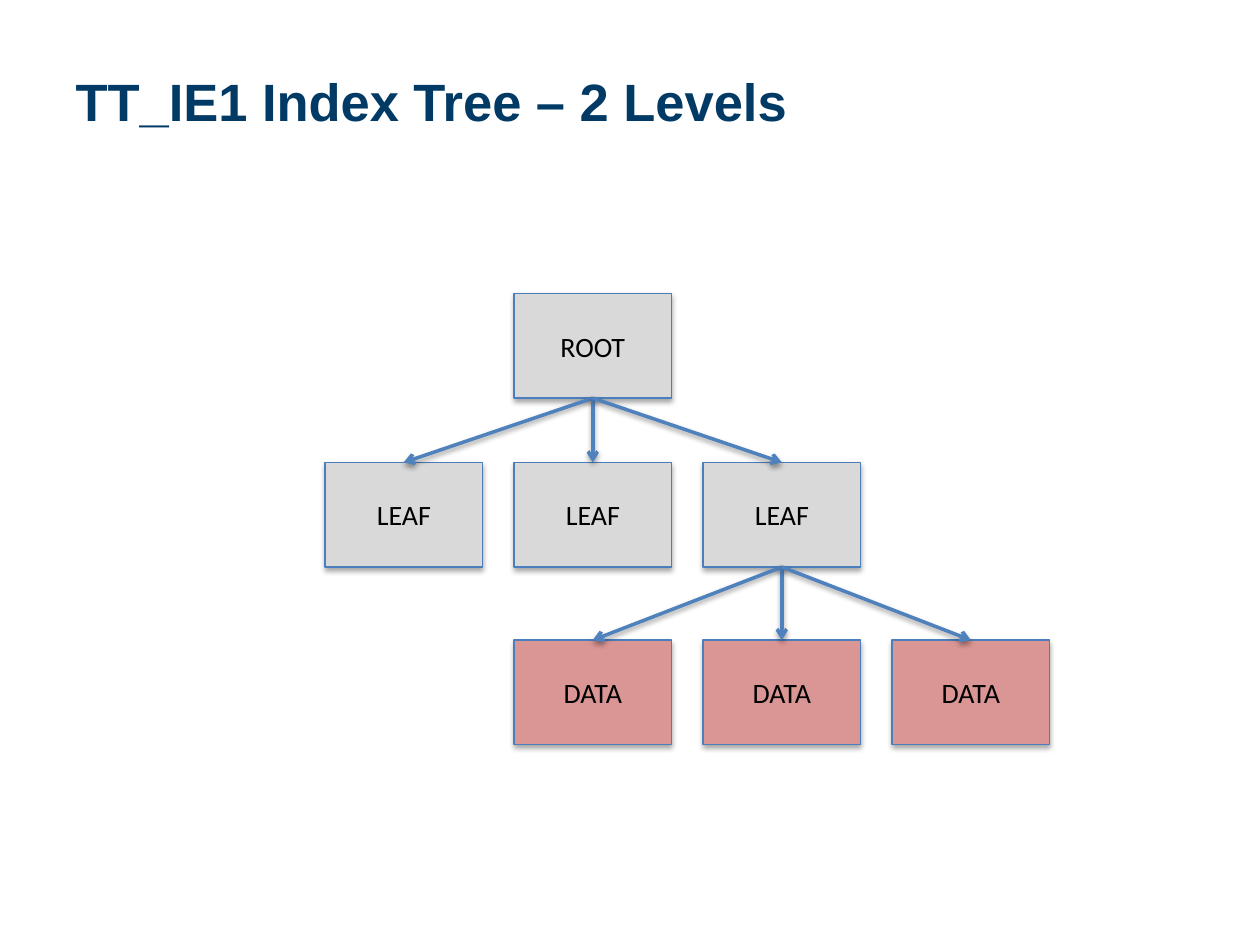
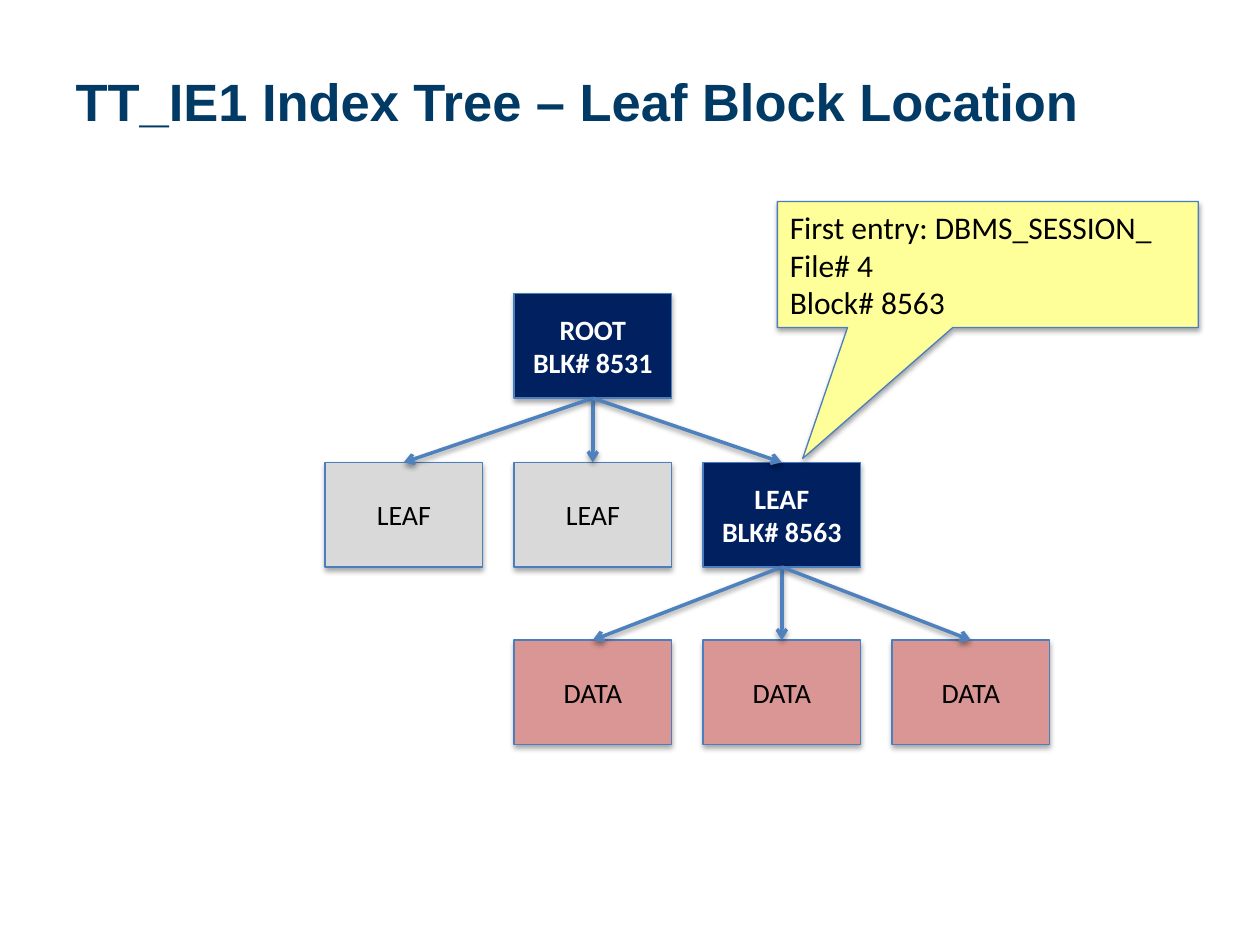
from lxml.etree import SubElement
from pptx import Presentation
from pptx.dml.color import RGBColor
from pptx.enum.shapes import MSO_CONNECTOR as Link, MSO_SHAPE as Preset
from pptx.enum.text import MSO_ANCHOR as Anchor, PP_ALIGN as Align
from pptx.oxml.ns import qn
from pptx.util import Inches, Pt

WHITE = RGBColor(0xFF, 0xFF, 0xFF)
BLACK = RGBColor(0, 0, 0)
TITLE_BLUE = RGBColor(0x00, 0x3A, 0x65)
BORDER_BLUE = RGBColor(0x4B, 0x7E, 0xBC)
ARROW_BLUE = RGBColor(0x4F, 0x81, 0xBD)
NAVY = RGBColor(0x00, 0x20, 0x60)
GREY = RGBColor(0xD9, 0xD9, 0xD9)
ROSE = RGBColor(0xD9, 0x96, 0x94)
YELLOW = RGBColor(0xFF, 0xFF, 0x99)

NODES = {
    "root": (0, 1, "ROOT", GREY),
    "leaf 1": (1, 0, "LEAF", GREY),
    "leaf 2": (1, 1, "LEAF", GREY),
    "leaf 3": (1, 2, "LEAF", GREY),
    "data 1": (2, 1, "DATA", ROSE),
    "data 2": (2, 2, "DATA", ROSE),
    "data 3": (2, 3, "DATA", ROSE),
}
BRANCHES = {
    "root": ("leaf 1", "leaf 2", "leaf 3"),
    "leaf 3": ("data 1", "data 2", "data 3"),
}
SLIDES = [
    {"title": "TT_IE1 Index Tree – 2 Levels", "blocks": {}, "callout": []},
    {
        "title": "TT_IE1 Index Tree – Leaf Block Location",
        "blocks": {"root": "BLK# 8531", "leaf 3": "BLK# 8563"},
        "callout": ["First entry: DBMS_SESSION_", "File# 4", "Block# 8563"],
    },
]

TREE_LEFT, COLUMN_STEP = 2.58, 1.5
LEVEL_TOPS = (2.33, 3.67, 5.08)
NODE_WIDTH, NODE_HEIGHT = 1.25, 0.83
BOTTOM_SITE, TOP_SITE = 2, 0


def add_shadow(item, distance, opacity):
    effects = SubElement(item.element.spPr, qn("a:effectLst"))
    shadow = SubElement(
        effects, qn("a:outerShdw"), blurRad=str(Pt(3.1)), dist=str(Pt(distance)),
        dir="5400000", rotWithShape="0",
    )
    color = SubElement(shadow, qn("a:srgbClr"), val=str(BLACK))
    SubElement(color, qn("a:alpha"), val=str(opacity * 1000))


def write(frame, lines, font, size, color, bold=False, align=Align.LEFT):
    frame.word_wrap = True
    for number, line in enumerate(lines):
        para = frame.add_paragraph() if number else frame.paragraphs[0]
        para.alignment = align
        span = para.add_run()
        span.text = line
        span.font.name = font
        span.font.size = Pt(size)
        span.font.bold = bold
        span.font.color.rgb = color


def add_box(page, preset, place, fill):
    box = page.shapes.add_shape(preset, *map(Inches, place))
    box.fill.solid()
    box.fill.fore_color.rgb = fill
    box.line.color.rgb = BORDER_BLUE
    box.line.width = Pt(0.75)
    add_shadow(box, 1.8, 35)
    return box


def add_node(page, level, column, label, fill, block):
    place = (TREE_LEFT + column * COLUMN_STEP, LEVEL_TOPS[level], NODE_WIDTH, NODE_HEIGHT)
    box = add_box(page, Preset.RECTANGLE, place, NAVY if block else fill)
    frame = box.text_frame
    frame.margin_left = frame.margin_right = 0
    frame.vertical_anchor = Anchor.MIDDLE
    lines = [label, block] if block else [label]
    write(frame, lines, "Calibri", 16, WHITE if block else BLACK, bool(block), Align.CENTER)
    return box


def add_arrow(page, parent, child):
    arrow = page.shapes.add_connector(Link.STRAIGHT, 0, 0, 0, 0)
    arrow.begin_connect(parent, BOTTOM_SITE)
    arrow.end_connect(child, TOP_SITE)
    arrow.line.color.rgb = ARROW_BLUE
    arrow.line.width = Pt(2)
    SubElement(arrow.line._get_or_add_ln(), qn("a:tailEnd"), type="arrow")
    add_shadow(arrow, 1.6, 38)


def add_title(page, text):
    title = page.shapes.title
    title.left, title.top, title.width, title.height = map(Inches, (0.5, 0.3, 9, 1))
    title.text_frame.vertical_anchor = Anchor.MIDDLE
    write(title.text_frame, [text], "Arial", 30, TITLE_BLUE, bold=True)


def add_callout(page, lines):
    callout = add_box(page, Preset.RECTANGULAR_CALLOUT, (6.17, 1.6, 3.34, 1), YELLOW)
    callout.adjustments[0] = -0.44
    callout.adjustments[1] = 1.54
    callout.text_frame.vertical_anchor = Anchor.TOP
    write(callout.text_frame, lines, "Calibri", 18, BLACK)


def add_slide(deck, content):
    page = deck.slides.add_slide(deck.slide_layouts[5])
    add_title(page, content["title"])
    boxes = {
        name: add_node(page, *node, content["blocks"].get(name))
        for name, node in NODES.items()
    }
    for parent, children in BRANCHES.items():
        for child in children:
            add_arrow(page, boxes[parent], boxes[child])
    if content["callout"]:
        add_callout(page, content["callout"])


def main():
    deck = Presentation()
    deck.slide_width, deck.slide_height = Inches(10), Inches(7.5)
    for content in SLIDES:
        add_slide(deck, content)
    deck.save("out.pptx")


if __name__ == "__main__":
    main()
